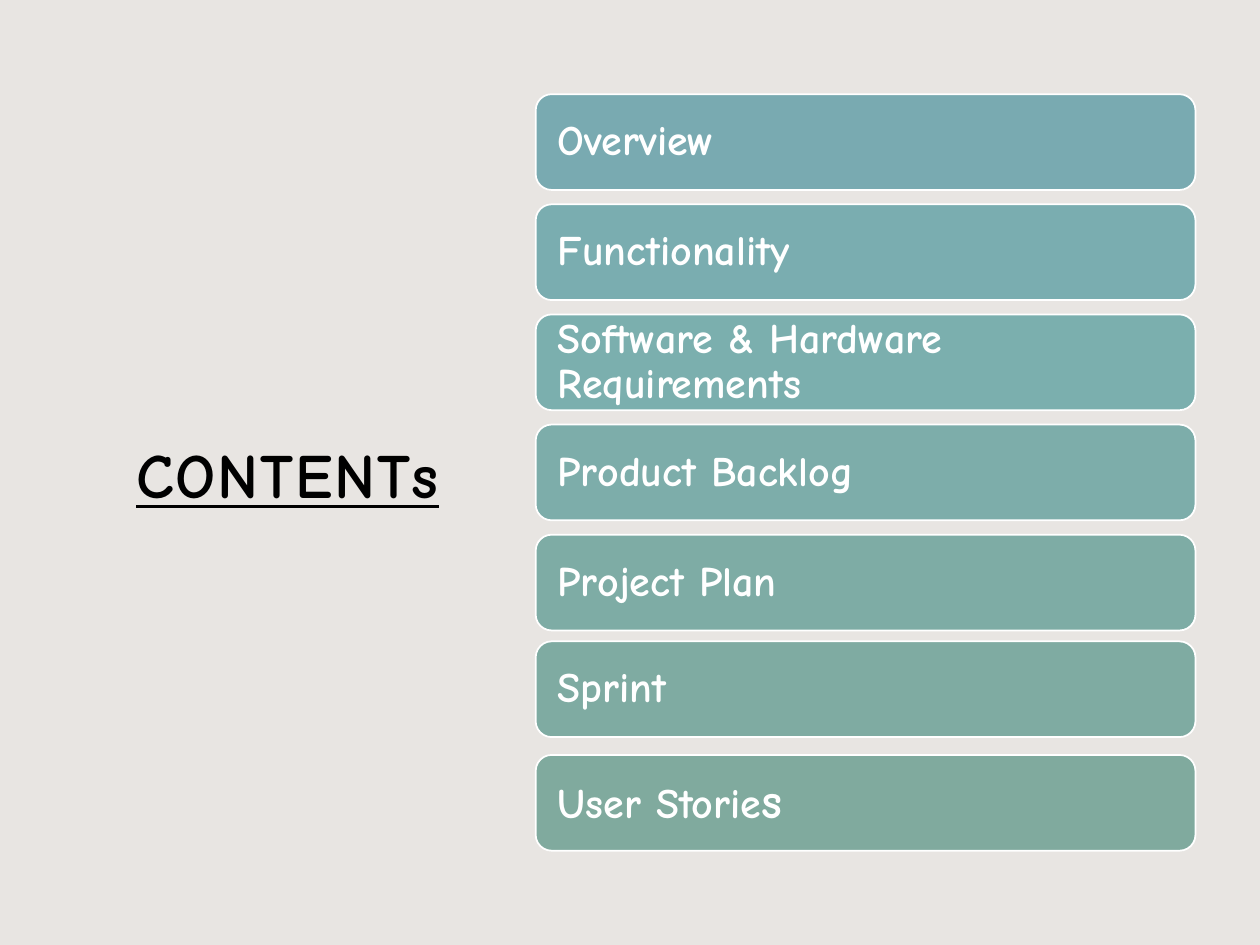
from pptx import Presentation
from pptx.dml.color import RGBColor
from pptx.enum.shapes import MSO_SHAPE as Shape
from pptx.enum.text import MSO_ANCHOR as Anchor, PP_ALIGN as Align
from pptx.util import Cm, Pt

# Content: fill, then runs of (text, size)
TITLE = "CONTENTs"
TOPICS = [
    ("79AAB1", [("Overview", 24)]),
    ("7AADB0", [("Functionality", 24)]),
    ("7BAFAE", [("Software & Hardware Requirements", 24)]),
    ("7DADAA", [("Product Backlog", 24)]),
    ("7EACA5", [("Project Plan", 24)]),
    ("7FABA2", [("Sprint", 24)]),
    ("80AA9E", [("User Storie", 24), ("s", 28)]),
]
NUDGES = {5: -0.07}  # the Sprint bar sits slightly high

# Layout in centimetres
FONT = "Comic Neue"
BAR_LEFT, BAR_TOP, BAR_WIDTH, BAR_HEIGHT = 10.8, 1.9, 13.3, 1.93
BAR_PITCH = 2.22
SIDE_INSET, EDGE_INSET = 0.35, 0.1


def paint(color_format, color):
    color_format.rgb = RGBColor.from_string(color)


def fill_solid(fill, color):
    fill.solid()
    paint(fill.fore_color, color)


def add_span(para, text, size, color):
    span = para.add_run()
    span.text = text
    span.font.name = FONT
    span.font.size = Pt(size)
    span.font.bold = True
    paint(span.font.color, color)
    return span


def add_title(page):
    box = page.shapes.title
    box.left, box.top, box.width, box.height = Cm(1.85), Cm(2.72), Cm(7.9), Cm(13.64)
    box.text_frame.vertical_anchor = Anchor.MIDDLE
    para = box.text_frame.paragraphs[0]
    para.alignment = Align.CENTER
    span = add_span(para, TITLE, 36, "000000")
    span.font.underline = True
    span.font._element.set("spc", "100")


def add_bar(page, index, color, runs):
    top = BAR_TOP + index * BAR_PITCH + NUDGES.get(index, 0)
    bar = page.shapes.add_shape(Shape.ROUNDED_RECTANGLE, Cm(BAR_LEFT), Cm(top),
                                Cm(BAR_WIDTH), Cm(BAR_HEIGHT))
    bar.shadow.inherit = False
    fill_solid(bar.fill, color)
    paint(bar.line.color, "FFFFFF")
    bar.line.width = Pt(1)
    frame = bar.text_frame
    frame.word_wrap = True
    frame.vertical_anchor = Anchor.MIDDLE
    frame.margin_left = frame.margin_right = Cm(SIDE_INSET)
    frame.margin_top = frame.margin_bottom = Cm(EDGE_INSET)
    para = frame.paragraphs[0]
    para.alignment = Align.LEFT
    para.line_spacing = 0.9
    for text, size in runs:
        add_span(para, text, size, "FFFFFF")


def main():
    deck = Presentation()
    deck.slide_width, deck.slide_height = Cm(25.4), Cm(19.05)
    page = deck.slides.add_slide(deck.slide_layouts[5])
    fill_solid(page.background.fill, "E8E5E2")

    # Title on the left, topic bars on the right
    add_title(page)
    for index, (color, runs) in enumerate(TOPICS):
        add_bar(page, index, color, runs)
    deck.save("out.pptx")


if __name__ == "__main__":
    main()
